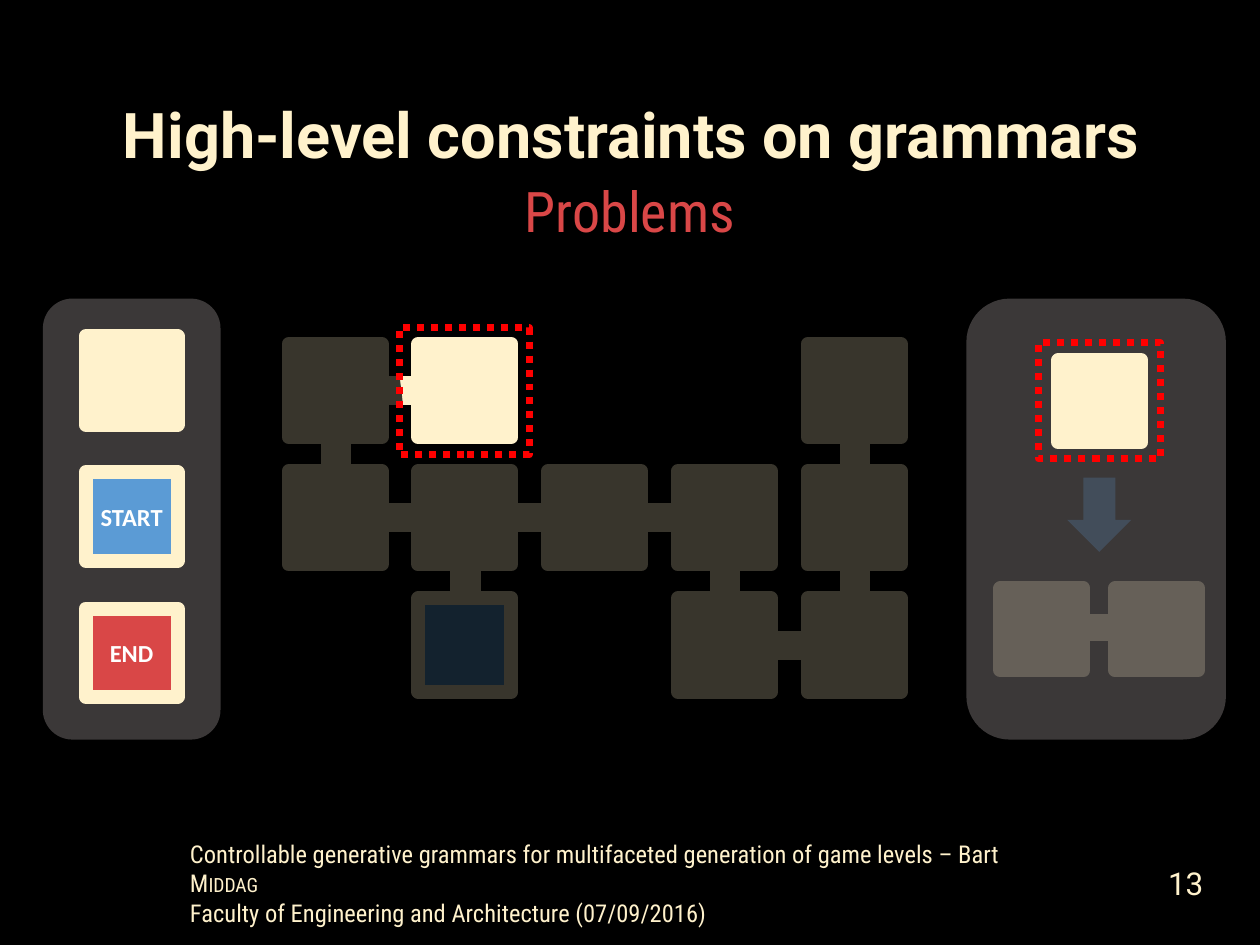
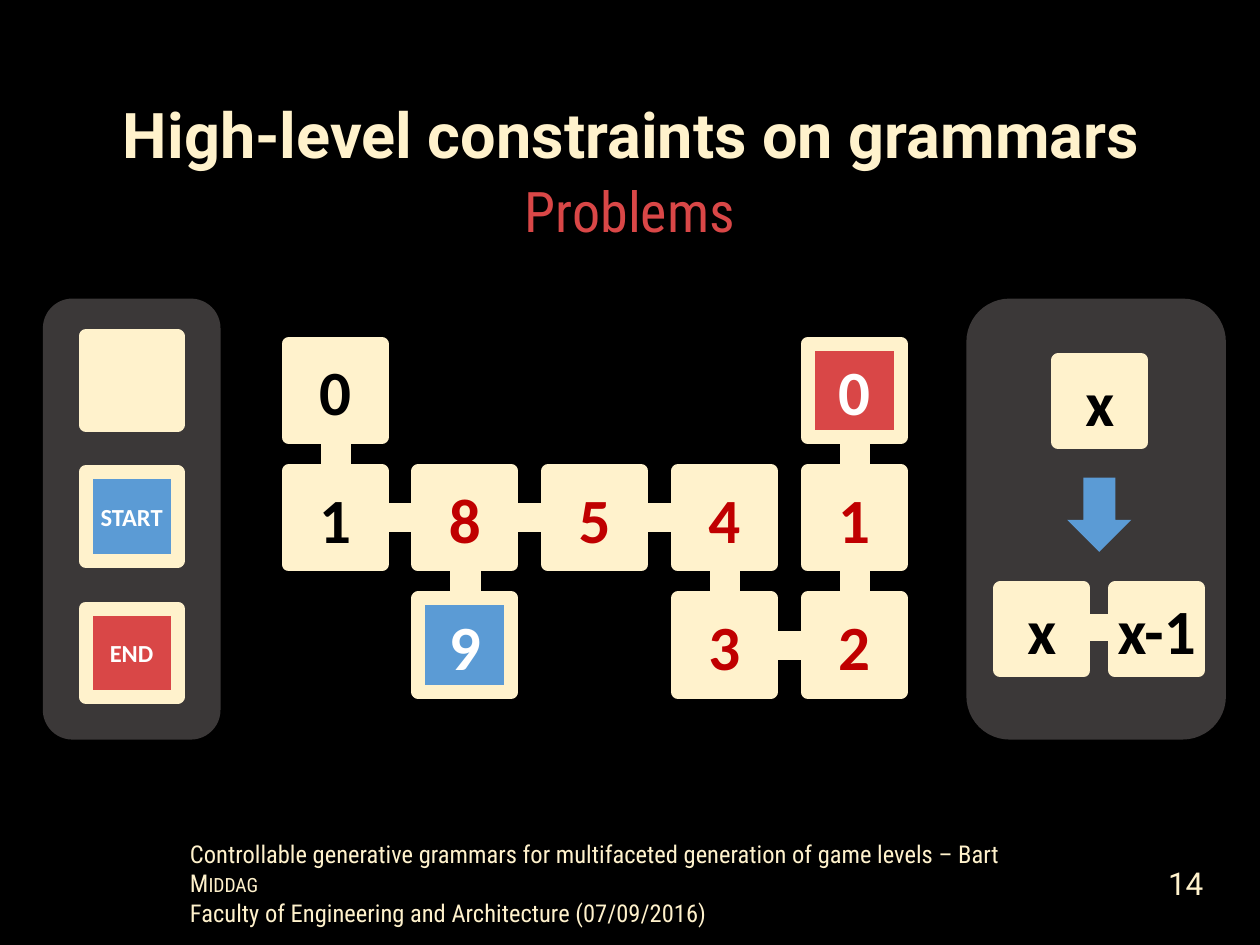
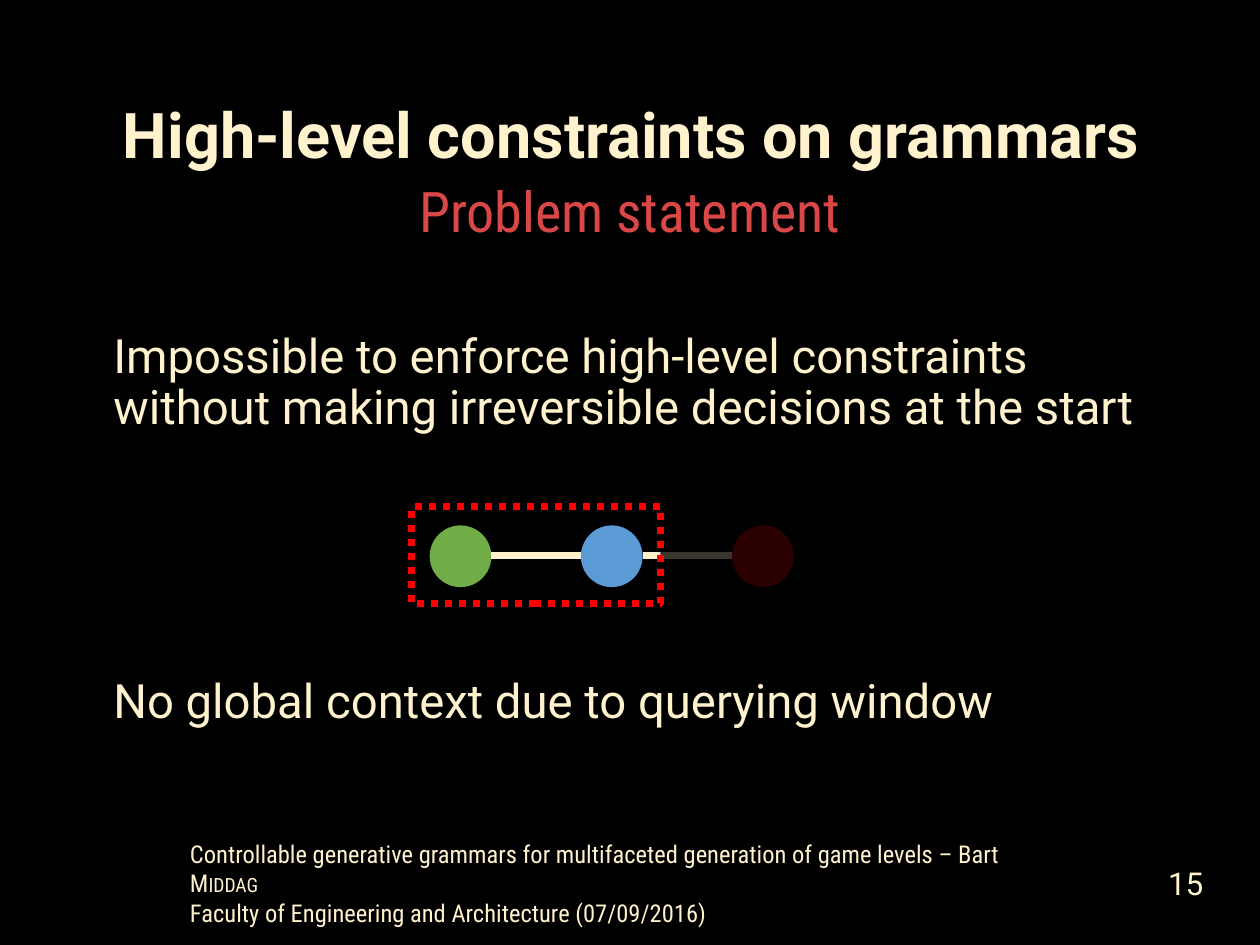
from lxml import etree
from pptx import Presentation
from pptx.dml.color import RGBColor
from pptx.enum import dml, shapes, text
from pptx.oxml.ns import qn
from pptx.util import Inches, Pt

hue = RGBColor.from_string
CREAM, BLACK, WHITE, GREY = "FFF2CC", "000000", "FFFFFF", "3B3838"
BLUE, RED, DEEP, GREEN, MARK = "5B9BD5", "D94747", "C00000", "70AD47", "FF0000"
RECT = shapes.MSO_SHAPE.RECTANGLE
ROUND = shapes.MSO_SHAPE.ROUNDED_RECTANGLE
OVAL = shapes.MSO_SHAPE.OVAL
ARROW = shapes.MSO_SHAPE.DOWN_ARROW
LEFT, MID, RIGHT = text.PP_ALIGN.LEFT, text.PP_ALIGN.CENTER, text.PP_ALIGN.RIGHT


def write(shape, words, size, color, font="Roboto", bold=False, align=MID,
          anchor=text.MSO_ANCHOR.MIDDLE):
    frame = shape.text_frame
    frame.word_wrap = True
    frame.auto_size = text.MSO_AUTO_SIZE.NONE
    frame.vertical_anchor = anchor
    para = frame.paragraphs[0]
    para.text = words
    para.alignment = align
    para.font.size, para.font.name, para.font.bold = Pt(size), font, bold
    para.font.color.rgb = hue(color)
    return para


def draw(slide, kind, spot, fill=None, edge=None, width=8):
    shape = slide.shapes.add_shape(kind, *map(Inches, spot))
    shape.shadow.inherit = False
    if fill:
        shape.fill.solid()
        shape.fill.fore_color.rgb = hue(fill)
    else:
        shape.fill.background()
    if edge:
        shape.line.color.rgb = hue(edge)
        shape.line.width = Pt(width)
    else:
        shape.line.fill.background()
    return shape


prs = Presentation()
prs.slide_width, prs.slide_height = Inches(10), Inches(7.5)
back = prs.slide_master.background.fill
back.solid()
back.fore_color.rgb = hue(BLACK)

# Shared title, subtitle, footer and number
slides = []
for num, topic in enumerate(("Problems", "Problems", "Problem statement"), 13):
    slide = prs.slides.add_slide(prs.slide_layouts[1])
    slides.append(slide)
    title, body = slide.shapes.title, slide.placeholders[1]
    foot = slide.shapes.add_textbox(0, 0, 0, 0)
    page = slide.shapes.add_textbox(0, 0, 0, 0)
    for shape, spot in ((title, (0.48, 0.57, 9.06, 1.06)), (body, (0.69, 1.41, 8.62, 0.62)),
                        (foot, (1.41, 6.61, 7.17, 0.57)), (page, (8.51, 6.81, 1.14, 0.4))):
        shape.left, shape.top, shape.width, shape.height = map(Inches, spot)

    para = write(title, "High-level constraints on grammars", 36, CREAM, bold=True)
    para.line_spacing = 0.9
    para = write(body, topic, 32, RED, "Roboto Condensed", anchor=text.MSO_ANCHOR.TOP)
    para.line_spacing, para.space_before = 0.9, Pt(10)
    props = para._p.get_or_add_pPr()
    props.set("marL", "0")
    props.set("indent", "0")
    props.insert_element_before(etree.Element(qn("a:buNone")), "a:tabLst", "a:defRPr")

    para = write(foot, "Controllable generative grammars for multifaceted generation "
                 "of game levels – Bart ", 14, CREAM, "Roboto Condensed",
                 align=LEFT, anchor=text.MSO_ANCHOR.TOP)
    foot.text_frame.auto_size = text.MSO_AUTO_SIZE.SHAPE_TO_FIT_TEXT
    name = para.add_run()
    name.text = "Middag"
    name._r.get_or_add_rPr().set("cap", "small")
    para.add_line_break()
    para.add_run().text = "Faculty of Engineering and Architecture (07/09/2016)"
    write(page, str(num), 18, CREAM, align=RIGHT)

# Rooms: column, row, number, number colour, fill
first, second, third = slides
rooms = [(0, 0, "0", BLACK, CREAM), (0, 1, "1", BLACK, CREAM), (1, 1, "8", DEEP, CREAM),
         (2, 1, "5", DEEP, CREAM), (3, 1, "4", DEEP, CREAM), (3, 2, "3", DEEP, CREAM),
         (4, 2, "2", DEEP, CREAM), (4, 1, "1", DEEP, CREAM), (4, 0, "0", WHITE, RED),
         (1, 2, "9", WHITE, BLUE)]
extra = (1, 0, "", BLACK, CREAM)
across = [(0, 1), (1, 1), (2, 1), (3, 2)]
down = [(0, 0), (1, 1), (3, 1), (4, 0), (4, 1)]
left, top, wide, high = 2.29, 2.73, 1.03, 1.01

for slide in (first, second):
    solved = slide is second
    # Legend
    draw(slide, ROUND, (0.34, 2.37, 1.41, 3.5), GREY)
    for row, (label, fill) in enumerate((("", CREAM), ("START", BLUE), ("END", RED))):
        tile = draw(slide, RECT, (0.68, 2.67 + 1.08 * row, 0.73, 0.7), fill, CREAM)
        if label:
            write(tile, label, 14, WHITE, "Calibri", True)
    # Level map
    for col, row, digit, color, fill in rooms if solved else rooms + [extra]:
        if not solved and fill == RED:
            fill = CREAM
        room = draw(slide, RECT, (left + wide * col, top + high * row, 0.74, 0.74), fill, CREAM)
        if solved:
            write(room, digit, 36, color, "Calibri", True)
    for col, row in across if solved else across + [(0, 0)]:
        draw(slide, RECT, (left + wide * col + 0.77, top + high * row + 0.31, 0.23, 0.12),
             CREAM, CREAM)
    for col, row in down:
        draw(slide, RECT, (left + wide * col + 0.31, top + high * row + 0.77, 0.13, 0.2),
             CREAM, CREAM)
    # Rewrite rule
    draw(slide, ROUND, (7.67, 2.37, 2.06, 3.5), GREY)
    draw(slide, RECT, (8.63, 4.93, 0.2, 0.1), CREAM, CREAM)
    draw(slide, ARROW, (8.47, 3.79, 0.51, 0.59), BLUE)
    for x, y, label in ((7.94, 4.67, "x"), (8.85, 4.67, "x-1"), (8.4, 2.86, "x")):
        part = draw(slide, RECT, (x, y, 0.66, 0.65), CREAM, CREAM)
        if solved:
            write(part, label, 36, BLACK, "Calibri", True)
            part.text_frame.word_wrap = label == "x"

# Veil outline over the map, its curved upper edge sampled in steps
outline = [(2.01, 3.52), (1.97, 5.82), (7.35, 5.74), (7.22, 2.45)]
curves = [((6.87, 2.01), (5.71, 2.53), (5.26, 2.55)), ((4.87, 3.01), (4.57, 3.3), (4.29, 3.58)),
          ((3.67, 3.58), (3.51, 3.6), (3.21, 3.58)), ((3.23, 3.24), (3.15, 3), (3.14, 2.56)),
          ((2.73, 2.55), (2.51, 2.48), (2.04, 2.57))]
for curve in curves:
    knots = (outline[-1], *curve)
    for step in range(1, 11):
        t = step / 10
        mix = ((1 - t) ** 3, 3 * t * (1 - t) ** 2, 3 * t * t * (1 - t), t ** 3)
        outline.append(tuple(sum(m * k[axis] for m, k in zip(mix, knots)) for axis in (0, 1)))
points = [(Inches(x), Inches(y)) for x, y in outline]
pen = first.shapes.build_freeform(*points[0])
pen.add_line_segments(points[1:], close=True)
cloud = pen.convert_to_shape()
cloud.shadow.inherit = False
cloud.line.fill.background()
cloud.fill.solid()
cloud.fill.fore_color.rgb = hue(BLACK)
cover = draw(first, RECT, (7.81, 3.74, 1.85, 1.78), GREY)

# Problem statement
for words, y, tall in (("Impossible to enforce high-level constraints without making "
                        "irreversible decisions at the start", 2.38, 1.33),
                       ("No global context due to querying window", 5.05, 1.06)):
    note = third.shapes.add_textbox(*map(Inches, (0.83, y, 8.46, tall)))
    write(note, words, 27, CREAM, align=LEFT).line_spacing = 0.9
    frame = note.text_frame
    frame.margin_left = frame.margin_right = Inches(0.07)
    frame.margin_top = frame.margin_bottom = Inches(0.04)

# Chain of nodes
for spot, fill in enumerate((GREEN, BLUE, DEEP)):
    x = 3.41 + 1.2 * spot
    draw(third, OVAL, (x, 4.17, 0.49, 0.49), fill)
    if spot < 2:
        ends = map(Inches, (x + 0.49, 4.41, x + 1.2, 4.41))
        link = third.shapes.add_connector(shapes.MSO_CONNECTOR.STRAIGHT, *ends)
        link.line.color.rgb, link.line.width = hue(CREAM), Pt(4)
        etree.SubElement(link._element.spPr, qn("a:effectLst"))
shade = draw(third, RECT, (5.24, 3.76, 1.12, 1.16), BLACK)

# See-through veils
for veil in (cloud, cover, shade):
    color = veil._element.spPr.find(qn("a:solidFill")).find(qn("a:srgbClr"))
    etree.SubElement(color, qn("a:alpha")).set("val", "78000")

# Dotted query windows
for slide, spot in ((first, (3.17, 2.6, 1.03, 1.01)), (first, (8.24, 2.72, 0.97, 0.92)),
                    (third, (3.27, 4.02, 1.97, 0.77))):
    draw(slide, RECT, spot, edge=MARK, width=4).line.dash_style = dml.MSO_LINE.ROUND_DOT

prs.save("out.pptx")
